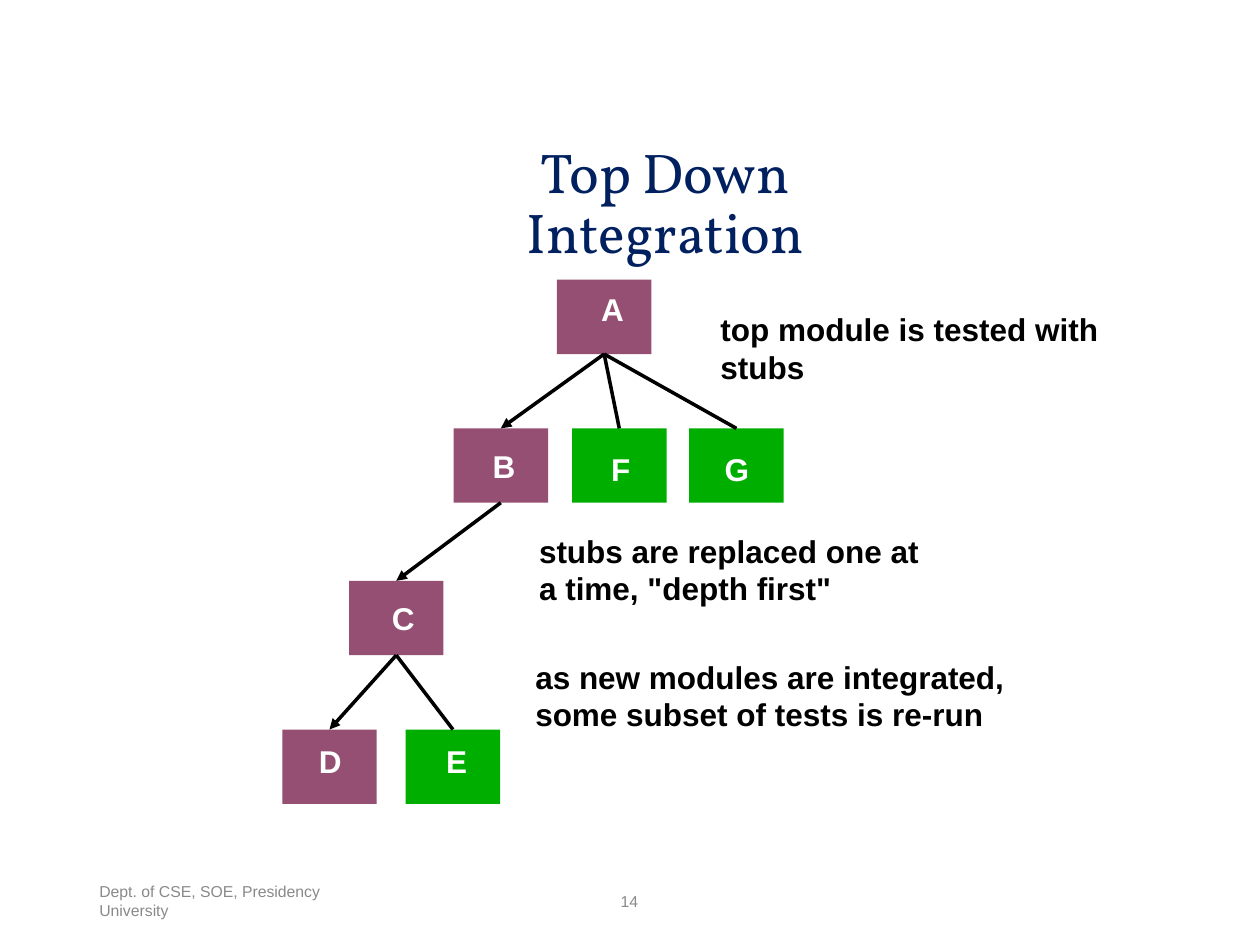
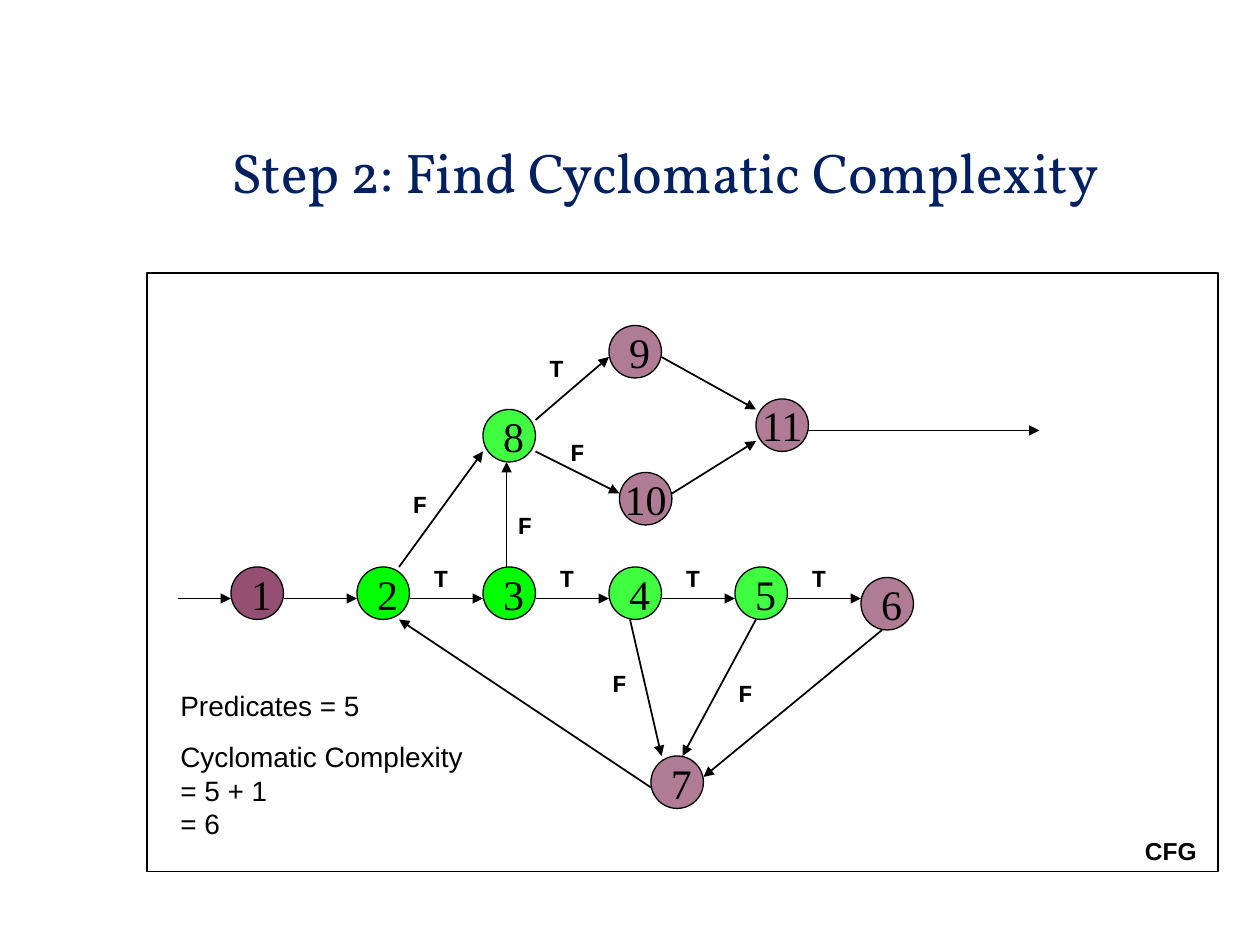
"""Build two software testing slides: top down integration and cyclomatic complexity."""
from dataclasses import dataclass

from lxml import etree
from pptx import Presentation
from pptx import util as u
from pptx.dml.color import RGBColor
from pptx.enum import shapes, text
from pptx.oxml import ns


@dataclass(frozen=True)
class Theme:
    """Colours, fonts and sizes shared by the slides."""
    navy: str = "002060"
    plum: str = "954F72"
    green: str = "00AE00"
    lime: str = "00FF00"
    grey: str = "898989"
    black: str = "000000"
    white: str = "FFFFFF"
    title_font: str = "Vollkorn"
    body_font: str = "Arial"
    node_font: str = "Times New Roman"
    branch_font: str = "Courier New"
    title_size: int = 32
    node_size: int = 24
    note_size: int = 18
    result_size: int = 16
    branch_size: int = 14
    footer_size: int = 9


THEME = Theme()
LEFT, CENTER = text.PP_ALIGN.LEFT, text.PP_ALIGN.CENTER
TOP, MIDDLE = text.MSO_ANCHOR.TOP, text.MSO_ANCHOR.MIDDLE
BOTTOM_SITE, TOP_SITE = 2, 0
INSETS = (0.1, 0.05, 0.1, 0.05)

TITLE_CENTER, TITLE_TOP, TITLE_HEIGHT = 5.28, 1.12, 1.02
FOOTERS = [
    ("Dept. of CSE, SOE, Presidency University", (0.69, 6.95, 2.25, 0.4), LEFT),
    ("14", (3.31, 6.95, 3.37, 0.4), CENTER),
]

MODULE_SIZE = (0.75, 0.59)
ROWS = (2.22, 3.4, 4.61, 5.79)
MODULES = {
    "A": (4.42, 0, THEME.plum, (0.35, 0.08)),
    "B": (3.6, 1, THEME.plum, (0.31, 0.15)),
    "C": (2.77, 2, THEME.plum, (0.34, 0.14)),
    "D": (2.24, 3, THEME.plum, (0.29, 0.1)),
    "E": (3.22, 3, THEME.green, (0.32, 0.1)),
    "F": (4.54, 1, THEME.green, (0.31, 0.17)),
    "G": (5.47, 1, THEME.green, (0.28, 0.17)),
}
CALLS = [("C", "E", False), ("A", "F", False), ("A", "G", False),
         ("A", "B", True), ("B", "C", True), ("C", "D", True)]
NOTES = [
    (["top module is tested with", "stubs"], 5.62, 2.41),
    (["stubs are replaced one at", 'a time, "depth first"'], 4.18, 4.17),
    (["as new modules are integrated,", "some subset of tests is re-run"], 4.15, 5.17),
]

CELL = 1 / 12
NODE_CELLS = 5
STEP = 12
NODES = [
    ("1", 22, 54, THEME.plum, 100), ("2", 34, 54, THEME.lime, 100),
    ("3", 46, 54, THEME.lime, 100), ("4", 58, 54, THEME.lime, 75),
    ("5", 70, 54, THEME.lime, 75), ("6", 82, 55, THEME.plum, 75),
    ("7", 62, 72, THEME.plum, 75), ("9", 58, 31, THEME.plum, 75),
    ("8", 46, 39, THEME.lime, 75), ("10", 59, 45, THEME.plum, 75),
    ("11", 72, 38, THEME.plum, 75),
]
MAIN_EDGES = [(column, 57, column + 7, 57) for column in range(27, 76, STEP)]
EDGES = MAIN_EDGES + [
    (17, 57, 22, 57), (84, 60, 67, 74), (72, 59, 65, 72), (60, 59, 63, 72),
    (62, 75, 38, 59), (38, 54, 46, 43), (51, 40, 58, 34), (51, 43, 59, 47),
    (63, 34, 72, 39), (64, 47, 72, 42), (77, 41, 99, 41), (48.25, 54, 48.25, 44),
]
BRANCHES = [("T", column, 53) for column in range(39, 76, STEP)] + [
    ("T", 50, 33), ("F", 52, 41), ("F", 37, 46),
    ("F", 56, 63), ("F", 68, 64), ("F", 47, 48),
]
FRAME = (14, 26, 102, 57)
RESULTS = ["Predicates = 5", "Cyclomatic Complexity\n= 5 + 1\n= 6"]


def inches(values):
    """Turn a sequence of inches into lengths."""
    return [u.Inches(value) for value in values]


def cells(*values):
    """Turn grid cells into inches."""
    return [value * CELL for value in values]


def write(box, paras, size, font=THEME.body_font, color=THEME.black, bold=False,
          align=LEFT, anchor=TOP, insets=INSETS, wrap=True, gap=0, spacing=None):
    """Fill a shape with formatted paragraphs."""
    frame = box.text_frame
    frame.word_wrap, frame.vertical_anchor = wrap, anchor
    frame.auto_size = text.MSO_AUTO_SIZE.NONE
    (frame.margin_left, frame.margin_top,
     frame.margin_right, frame.margin_bottom) = inches(insets)
    for index, words in enumerate(paras):
        para = frame.add_paragraph() if index else frame.paragraphs[0]
        para.text, para.alignment = words, align
        para.space_before = u.Pt(gap if index else 0)
        if spacing:
            para.line_spacing = spacing
        for span in para.runs:
            span.font.name, span.font.size, span.font.bold = font, u.Pt(size), bold
            span.font.color.rgb = RGBColor.from_string(color)


def add_text(page, paras, area, size, **style):
    """Add a text box."""
    write(page.shapes.add_textbox(*inches(area)), paras, size, **style)


def add_box(page, kind, area, fill=None, line=0, opacity=100):
    """Add a flat preset shape."""
    box = page.shapes.add_shape(kind, *inches(area))
    box.shadow.inherit = False
    if fill:
        box.fill.solid()
        box.fill.fore_color.rgb = RGBColor.from_string(fill)
    else:
        box.fill.background()
    if opacity < 100:
        tint = box.fill._xPr.find(".//" + ns.qn("a:srgbClr"))
        etree.SubElement(tint, ns.qn("a:alpha"), val=str(opacity * 1000))
    if line:
        box.line.width = u.Pt(line)
        box.line.color.rgb = RGBColor.from_string(THEME.black)
    else:
        box.line.fill.background()
    return box


def add_line(page, ends, width, arrow=True):
    """Add a straight black connector."""
    line = page.shapes.add_connector(shapes.MSO_CONNECTOR.STRAIGHT, *inches(ends))
    line.line.width = u.Pt(width)
    line.line.color.rgb = RGBColor.from_string(THEME.black)
    if arrow:
        etree.SubElement(line.line._get_or_add_ln(), ns.qn("a:tailEnd"), type="triangle")
    etree.SubElement(line._element.spPr, ns.qn("a:effectLst"))
    return line


def add_page(deck, title, width):
    """Add a slide with the shared title style."""
    page = deck.slides.add_slide(deck.slide_layouts[5])
    box = page.shapes.title
    box.left, box.top, box.width, box.height = inches(
        (TITLE_CENTER - width / 2, TITLE_TOP, width, TITLE_HEIGHT))
    write(box, [title], THEME.title_size, font=THEME.title_font, color=THEME.navy,
          align=CENTER, insets=(0.07, 0.03, 0.07, 0.03), spacing=0.9)
    return page


def build_integration(deck):
    """Draw the module tree with its notes and footer."""
    page = add_page(deck, "Top Down Integration", 4.37)
    for words, area, align in FOOTERS:
        add_text(page, [words], area, THEME.footer_size, color=THEME.grey,
                 align=align, anchor=MIDDLE)
    modules = {}
    for name, (left, row, fill, offset) in MODULES.items():
        box = add_box(page, shapes.MSO_SHAPE.RECTANGLE,
                      (left, ROWS[row], *MODULE_SIZE), fill)
        write(box, [name], THEME.note_size, color=THEME.white, bold=True,
              insets=(*offset, 0, 0))
        modules[name] = box
    for caller, called, arrow in CALLS:
        line = add_line(page, (0, 0, 1, 1), 2, arrow)
        line.begin_connect(modules[caller], BOTTOM_SITE)
        line.end_connect(modules[called], TOP_SITE)
    for lines, left, top in NOTES:
        add_text(page, lines, (left, top, 4.1, 0.68), THEME.note_size, bold=True)


def build_complexity(deck):
    """Draw the control flow graph and its complexity."""
    page = add_page(deck, "Step 2: Find Cyclomatic Complexity", 7.22)
    for name, column, row, fill, opacity in NODES:
        box = add_box(page, shapes.MSO_SHAPE.OVAL,
                      cells(column, row, NODE_CELLS, NODE_CELLS), fill, 0.75, opacity)
        write(box, [name], THEME.node_size, font=THEME.node_font, anchor=MIDDLE,
              align=CENTER if len(name) > 1 else LEFT, wrap=False)
    for ends in EDGES:
        add_line(page, cells(*ends), 1)
    add_box(page, shapes.MSO_SHAPE.RECTANGLE, cells(*FRAME), line=1)
    for name, column, row in BRANCHES:
        add_text(page, [name], cells(column, row, 6, 4), THEME.branch_size,
                 font=THEME.branch_font, bold=True, align=CENTER)
    add_text(page, ["CFG"], cells(107, 79, 9, 4), THEME.branch_size,
             bold=True, align=CENTER)
    add_text(page, RESULTS, cells(16, 65, 30, 15.7), THEME.result_size, gap=10)


def main():
    """Build and save the deck."""
    deck = Presentation()
    deck.slide_width, deck.slide_height = u.Inches(10), u.Inches(7.5)
    build_integration(deck)
    build_complexity(deck)
    deck.save("out.pptx")


if __name__ == "__main__":
    main()
